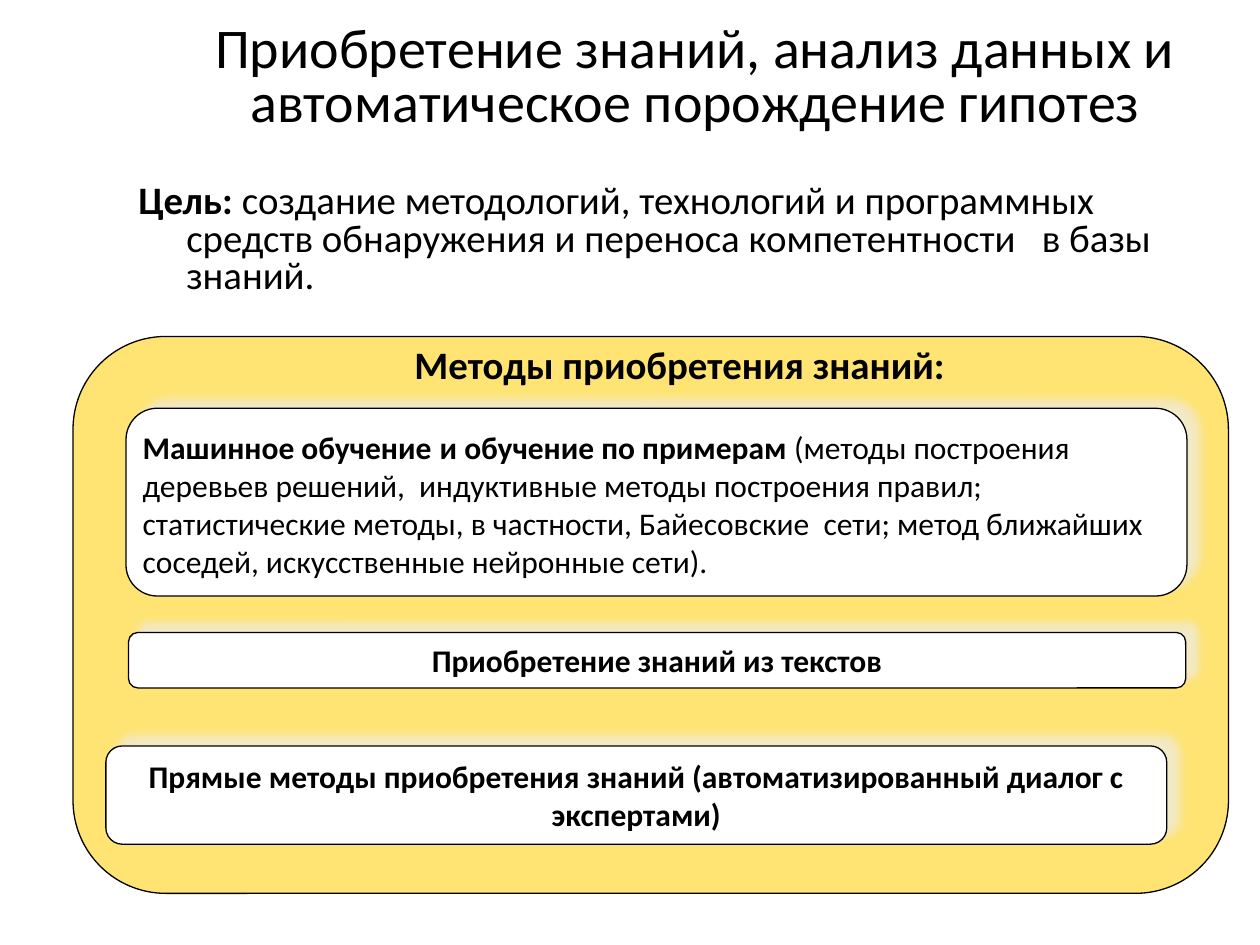
from lxml import etree
from pptx import Presentation
from pptx.dml.color import RGBColor
from pptx.enum.shapes import MSO_SHAPE
from pptx.enum.text import MSO_ANCHOR, MSO_AUTO_SIZE, PP_ALIGN
from pptx.oxml.ns import qn
from pptx.util import Inches, Pt

ROUNDED = MSO_SHAPE.ROUNDED_RECTANGLE
TOP, MIDDLE = MSO_ANCHOR.TOP, MSO_ANCHOR.MIDDLE
LEFT, CENTER = PP_ALIGN.LEFT, PP_ALIGN.CENTER
NO_FIT = MSO_AUTO_SIZE.NONE
FONT, BLACK, WHITE, YELLOW, GLOW = "Calibri", "000000", "FFFFFF", "FFE473", "EEECE1"
TITLE_LAYOUT = 5


def color(value):
    return RGBColor.from_string(value)


def set_frame(frame, anchor=TOP, side=0.1, edge=0.05):
    frame.word_wrap = True
    frame.auto_size = NO_FIT
    frame.vertical_anchor = anchor
    frame.margin_left = frame.margin_right = Inches(side)
    frame.margin_top = frame.margin_bottom = Inches(edge)


def write(paragraph, *parts, size=18, align=LEFT, spacing=None, before=0, hanging=0):
    """Each part is (text, bold) or (text, bold, own size)."""
    paragraph.alignment = align
    paragraph.space_before = Pt(before)
    if spacing:
        paragraph.line_spacing = spacing
    if hanging:
        properties = paragraph._p.get_or_add_pPr()
        properties.set("marL", str(Inches(hanging)))
        properties.set("indent", str(-Inches(hanging)))
    for text, bold, *own_size in parts:
        run = paragraph.add_run()
        run.text = text
        run.font.name = FONT
        run.font.size = Pt(own_size[0] if own_size else size)
        run.font.bold = bold
        run.font.color.rgb = color(BLACK)


def add_glow_shadow(shape):
    effects = shape._element.spPr.find(qn("a:effectLst"))
    shadow = etree.SubElement(effects, qn("a:outerShdw"), blurRad=str(Pt(5)),
                              dist=str(Pt(8.5)), dir=str(315 * 60000),
                              algn="ctr", rotWithShape="0")
    tint = etree.SubElement(shadow, qn("a:srgbClr"), val=GLOW)
    etree.SubElement(tint, qn("a:alpha"), val="75000")


def add_panel(slide, box, fill):
    shape = slide.shapes.add_shape(ROUNDED, *map(Inches, box))
    shape.shadow.inherit = False
    shape.fill.solid()
    shape.fill.fore_color.rgb = color(fill)
    shape.line.color.rgb = color(BLACK)
    shape.line.width = Pt(0.75)
    return shape


def add_title(slide, box, text):
    title = slide.shapes.title
    title.left, title.top, title.width, title.height = map(Inches, box)
    set_frame(title.text_frame, MIDDLE, edge=0.01)
    write(title.text_frame.paragraphs[0], (text, False), size=32, align=CENTER, spacing=0.8)


def add_goal(slide, box, label, goal, heading):
    frame = slide.shapes.add_textbox(*map(Inches, box)).text_frame
    set_frame(frame)
    layout = dict(size=22.2, spacing=0.8, hanging=0.38)
    write(frame.paragraphs[0], (label, True), (goal, False), **layout)
    write(frame.add_paragraph(), (heading, True), align=CENTER, before=30, **layout)


def add_method(slide, box, parts, align=CENTER, anchor=MIDDLE):
    shape = add_panel(slide, box, WHITE)
    add_glow_shadow(shape)
    set_frame(shape.text_frame, anchor, side=0.06)
    write(shape.text_frame.paragraphs[0], *parts, align=align)


presentation = Presentation()
presentation.slide_width, presentation.slide_height = Inches(10), Inches(7.5)
slide = presentation.slides.add_slide(presentation.slide_layouts[TITLE_LAYOUT])

# Title
add_title(slide, (1.26, 0.17, 8.52, 0.92),
          "Приобретение знаний, анализ данных и автоматическое порождение гипотез")

# Yellow panel, goal and heading
add_panel(slide, (0.58, 2.67, 9.17, 4.42), YELLOW)
add_goal(slide, (1, 1.42, 8.79, 1.75), "Цель: ",
         "создание методологий, технологий и программных средств обнаружения "
         "и переноса компетентности   в базы знаний.",
         "Методы приобретения знаний:")

# Methods
add_method(slide, (1, 3.24, 8.42, 1.49), [
    ("Машинное обучение", True),
    (" ", True, 20),
    ("и обучение по примерам", True),
    (" (методы построения деревьев решений,  индуктивные методы построения правил;  "
     "статистические методы, в частности, Байесовские  сети; метод ближайших соседей, "
     "искусственные нейронные сети).", False),
], align=LEFT)
add_method(slide, (0.84, 5.92, 8.42, 0.78), [
    ("Прямые методы приобретения знаний (автоматизированный диалог с экспертами)", True)])
add_method(slide, (1.02, 5.02, 8.39, 0.44), [
    ("Приобретение знаний из текстов", True)], anchor=TOP)

presentation.save("out.pptx")
